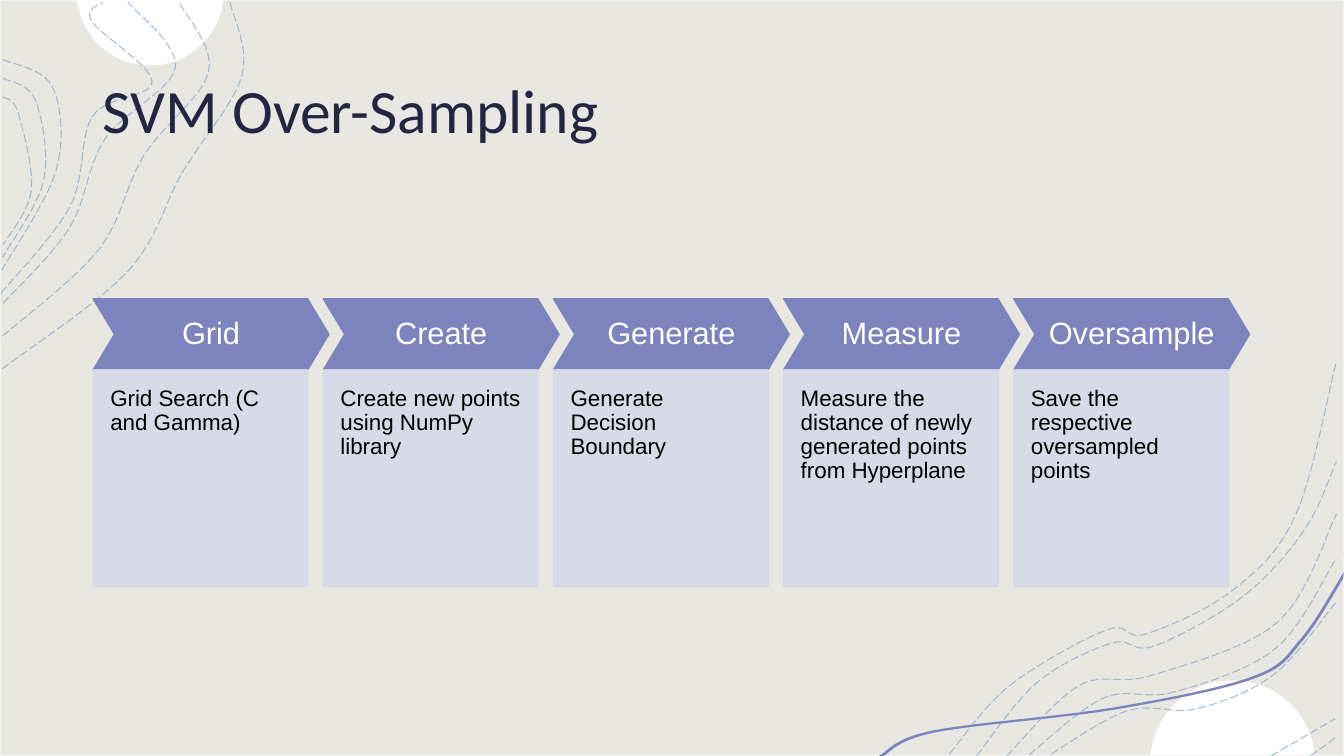
from math import asin, cos, pi, sin

from lxml import etree
from pptx import Presentation
from pptx.dml.color import RGBColor
from pptx.enum.dml import MSO_LINE
from pptx.enum.shapes import MSO_SHAPE
from pptx.enum.text import MSO_ANCHOR, MSO_AUTO_SIZE, PP_ALIGN
from pptx.oxml.ns import qn
from pptx.util import Cm, Pt

RECT, CHEVRON = MSO_SHAPE.RECTANGLE, MSO_SHAPE.CHEVRON
LEFT, CENTER = PP_ALIGN.LEFT, PP_ALIGN.CENTER
TOP, MIDDLE = MSO_ANCHOR.TOP, MSO_ANCHOR.MIDDLE
DASH, FIXED = MSO_LINE.LONG_DASH, MSO_AUTO_SIZE.NONE

# Content
TITLE = "SVM Over-Sampling"
STEPS = [
    ("Grid", "Grid Search (C and Gamma)"),
    ("Create", "Create new points using NumPy library"),
    ("Generate", "Generate Decision Boundary"),
    ("Measure", "Measure the distance of newly generated points from Hyperplane"),
    ("Oversample", "Save the respective oversampled points"),
]
HEX = {
    "sand": "E8E7E2", "edge": "F2F2F2", "white": "FFFFFF", "violet": "7C83BD",
    "lilac": "D7D9E8", "wave": "89A7C3", "navy": "242541", "black": "000000",
}

# Text formats
TITLE_FONT = {"name": "Calibri", "size": Pt(44)}
HEAD_FONT = {"name": "Arial", "size": Pt(22)}
BODY_FONT = {"name": "Arial", "size": Pt(16)}
SIDES = ("margin_left", "margin_right", "margin_top", "margin_bottom")
HEAD_BOX = {"vertical_anchor": MIDDLE, **dict.fromkeys(SIDES, Cm(0.23))}
BODY_BOX = {"vertical_anchor": TOP, **dict.fromkeys(SIDES, Cm(0.43))}

# Curve knots, counted in units of 2.54 cm
UNIT = Cm(2.54)
# Each family: number of waves, first wave, last wave; the rest lie evenly between
WAVES = [
    (3, [(0.02, 3.66), (1.27, 2.69), (1.81, 1.71), (2.4, 0.75), (2.28, 0.02)],
     [(0.03, 3.01), (0.69, 2.26), (1.04, 1.38), (1.74, 0.67), (1.27, 0.02)]),
    (1, [(0.01, 2.91), (0.7, 2.04), (0.92, 1.15), (1.51, 0.81), (0.91, 0.21), (1.02, 0.02)], []),
    (3, [(0.03, 0.59), (0.52, 0.86), (0.56, 1.68), (0.02, 2.68)],
     [(0.03, 0.96), (0.18, 1.12), (0.31, 1.89), (0.03, 2.43)]),
    (2, [(9.42, 7.48), (10.02, 6.8), (10.98, 6.25), (11.37, 6.29), (12.24, 5.85),
         (12.86, 5.1), (13.26, 3.58)],
     [(9.69, 7.5), (10.29, 6.77), (11.03, 6.38), (11.45, 6.41), (12.33, 5.92),
      (12.94, 5.26), (13.26, 4.58)]),
    (2, [(13, 7.5), (13.28, 7.3)], [(12.61, 7.5), (13.25, 7.13)]),
    (3, [(10.43, 7.48), (11.19, 7.05), (11.88, 7.03), (12.64, 6.69), (13.26, 5.97)],
     [(9.99, 7.5), (10.71, 6.8), (11.43, 6.7), (12.68, 6.17), (13.26, 5.1)]),
]
BAND = [(8.72, 7.5), (9.24, 7.25), (11.04, 7.02), (12.43, 6.71), (12.91, 6.33), (13.33, 5.68)]
# Centre x, centre y, radius, side of the centre that shows
DISCS = [(1.49, -0.08, 0.73, 1), (12.23, 7.57, 0.82, -1)]


def put(part, vals):
    for key, val in vals.items():
        setattr(part, key, val)


def tint(fill, hue, alpha):
    fill.solid()
    fill.fore_color.rgb = RGBColor.from_string(HEX[hue])
    if alpha < 100:
        node = fill._xPr.find(qn("a:solidFill"))[0]
        etree.SubElement(node, qn("a:alpha"), val=str(alpha * 1000))


def paint(shape, fill=None, line=None, alpha=100, width=1):
    shape.shadow.inherit = False
    for part, hue in ((shape.fill, fill), (shape.line.fill, line)):
        if hue:
            tint(part, hue, alpha)
        else:
            part.background()
    if line:
        shape.line.width = Pt(width)


def write(shape, text, font, hue, align, box):
    frame = shape.text_frame
    put(frame, {"text": text, "word_wrap": True, "auto_size": FIXED, **box})
    para = frame.paragraphs[0]
    put(para, {"alignment": align, "line_spacing": 0.9})
    run = para.runs[0]
    put(run.font, font)
    run.font.color.rgb = RGBColor.from_string(HEX[hue])


def blend(first, last, t):
    return [(a + t * (c - a), b + t * (d - b)) for (a, b), (c, d) in zip(first, last)]


def smooth(knots, steps=10):
    """Catmull-Rom curve through the knots."""
    ends = [knots[0], *knots, knots[-1]]
    curve = [knots[0]]
    for a, b, c, d in zip(ends, ends[1:], ends[2:], ends[3:]):
        for n in range(1, steps + 1):
            t = n / steps
            curve.append(tuple(
                q + t * (r - p + t * (2 * p - 5 * q + 4 * r - s + t * (3 * q - p - 3 * r + s))) / 2
                for p, q, r, s in zip(a, b, c, d)))
    return curve


def trace(shapes, points, close):
    dots = [(int(x * UNIT), int(y * UNIT)) for x, y in points]
    path = shapes.build_freeform(*dots[0])
    path.add_line_segments(dots[1:], close=close)
    return path.convert_to_shape()


def main():
    deck = Presentation()
    put(deck, {"slide_width": Cm(33.87), "slide_height": Cm(19.05)})
    slide = deck.slides.add_slide(deck.slide_layouts[5])
    shapes = slide.shapes

    # Backdrop
    paint(shapes.add_shape(RECT, 0, 0, deck.slide_width, deck.slide_height), "sand", "edge")

    # White discs cut off by the slide edge
    for x, y, radius, side in DISCS:
        start = asin(0.08 / radius)
        turns = [start + (pi - 2 * start) * n / 40 for n in range(41)]
        arc = [(x + radius * cos(t), y + side * radius * sin(t)) for t in turns]
        paint(trace(shapes, arc, True), "white")

    # Violet band
    upper = smooth(BAND)
    lower = [(min(x + 0.02, 13.33), min(y + 0.02, 7.5)) for x, y in reversed(upper)]
    paint(trace(shapes, upper + lower, True), "violet")

    # Dashed waves
    for count, first, last in WAVES:
        for n in range(count):
            knots = blend(first, last or first, n / max(count - 1, 1))
            wave = trace(shapes, smooth(knots), False)
            paint(wave, line="wave", alpha=75, width=0.75)
            wave.line.dash_style = DASH

    # Title, in front of the waves
    title = shapes.title
    put(title, {"left": Cm(2.34), "top": Cm(1.02), "width": Cm(29.21), "height": Cm(3.68)})
    write(title, TITLE, TITLE_FONT, "navy", LEFT, {"vertical_anchor": MIDDLE})
    shapes._spTree.append(title._element)

    # Step chevrons with their cards
    left, top, pitch, tall = 2.35, 7.53, 5.8, 1.79
    for n, (head, body) in enumerate(STEPS):
        x = Cm(left + n * pitch)
        arrow = shapes.add_shape(CHEVRON, x, Cm(top), Cm(5.94), Cm(tall))
        arrow.adjustments[0] = 0.3
        paint(arrow, "violet", "violet")
        write(arrow, head, HEAD_FONT, "white", CENTER, HEAD_BOX)
        card = shapes.add_shape(RECT, x, Cm(top + tall), Cm(5.41), Cm(5.46))
        paint(card, "lilac", "lilac", alpha=90)
        write(card, body, BODY_FONT, "black", LEFT, BODY_BOX)

    deck.save("out.pptx")


if __name__ == "__main__":
    main()
